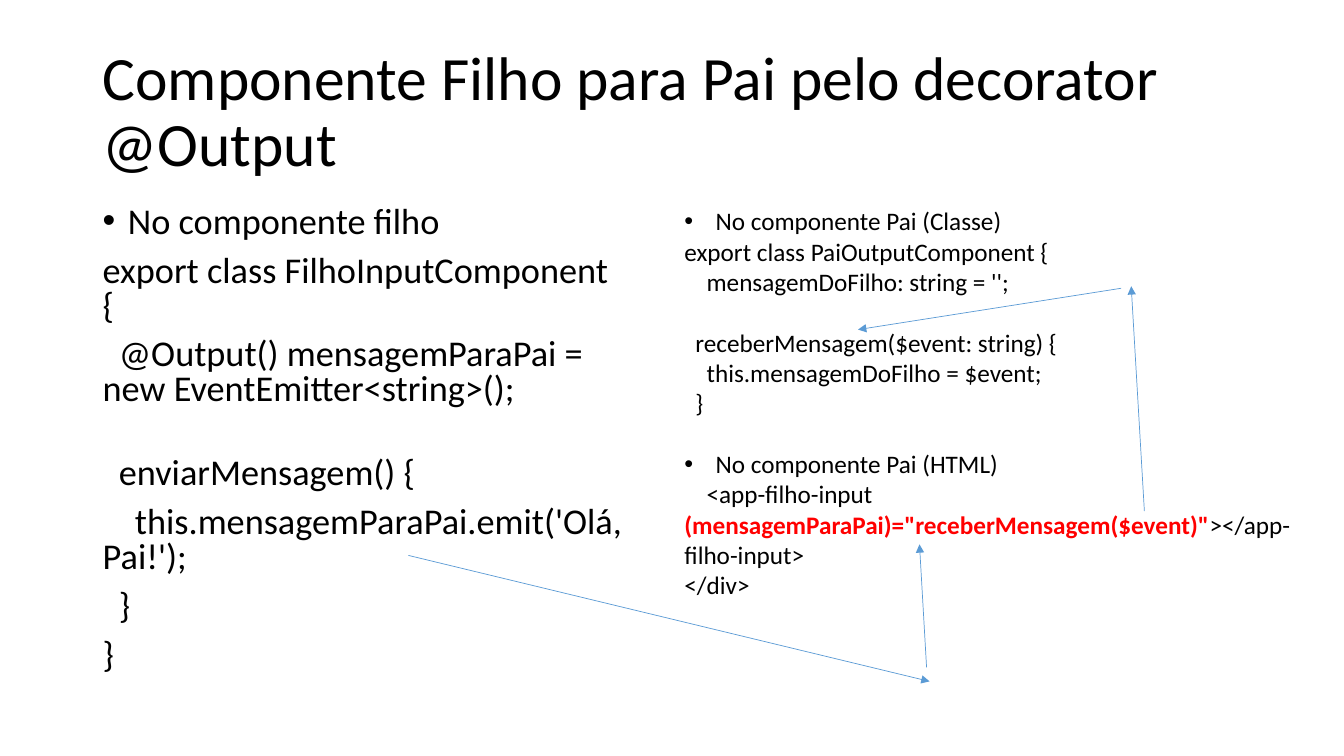
from dataclasses import dataclass

from lxml import etree
from pptx import Presentation
from pptx.dml.color import RGBColor
from pptx.enum.shapes import MSO_CONNECTOR
from pptx.enum.text import MSO_ANCHOR
from pptx.oxml.ns import qn
from pptx.util import Inches, Pt

STRAIGHT = MSO_CONNECTOR.STRAIGHT
TOP = MSO_ANCHOR.TOP
MIDDLE = MSO_ANCHOR.MIDDLE


@dataclass(frozen=True)
class Theme:
    font: str = "Calibri"
    ink: str = "000000"
    accent: str = "FF0000"
    line: str = "5B9BD5"
    title: float = 44
    child: float = 25.9
    parent: float = 18
    stroke: float = 0.5


def write(para, text, font, size, color, bold=False):
    run = para.add_run()
    run.text = text
    run.font.name = font
    run.font.size = Pt(size)
    run.font.bold = bold
    run.font.color.rgb = RGBColor.from_string(color)


class Deck:
    def __init__(self, theme):
        self.theme = theme
        self.show = Presentation()
        self.show.slide_width = Inches(13.33)
        self.show.slide_height = Inches(7.5)
        self.slide = self.show.slides.add_slide(self.show.slide_layouts[6])

    def text(self, box, lines, size, space=1.0, before=0, step=0, hang=0, anchor=TOP):
        frame = self.slide.shapes.add_textbox(*map(Inches, box)).text_frame
        frame.word_wrap = True
        frame.vertical_anchor = anchor
        for i, (level, gap, runs) in enumerate(lines):
            para = frame.paragraphs[0] if i == 0 else frame.add_paragraph()
            para.line_spacing = space
            para.space_before = Pt(before + gap * size * 1.22 * space)
            if level == "•":
                self.bullet(para, hang)
            else:
                para._p.get_or_add_pPr().set("indent", str(Inches(level * step)))
            for words, style in runs:
                look = {"color": self.theme.ink, **style}
                write(para, words, font=self.theme.font, size=size, **look)

    def bullet(self, para, hang):
        props = para._p.get_or_add_pPr()
        props.set("marL", str(Inches(hang)))
        props.set("indent", str(-Inches(hang)))
        etree.SubElement(props, qn("a:buFont"), typeface="Arial")
        etree.SubElement(props, qn("a:buChar"), char="•")

    def arrow(self, start, end):
        link = self.slide.shapes.add_connector(STRAIGHT, *map(Inches, start + end))
        link.line.color.rgb = RGBColor.from_string(self.theme.line)
        link.line.width = Pt(self.theme.stroke)
        etree.SubElement(link.line._get_or_add_ln(), qn("a:tailEnd"), type="triangle")
        etree.SubElement(link._element.spPr, qn("a:effectLst"))


def line(text, level=0, gap=0):
    return level, gap, [(text, {})]


def main():
    theme = Theme()
    deck = Deck(theme)
    deck.text(
        (0.92, 0.4, 11.5, 1.45),
        [line("Componente Filho para Pai pelo decorator @Output")],
        theme.title, space=0.9, anchor=MIDDLE,
    )
    child = [
        line("No componente filho", "•"),
        line("export class FilhoInputComponent {"),
        line("@Output() mensagemParaPai = new EventEmitter<string>();", 1),
        line("enviarMensagem() {", 1, gap=1),
        line("this.mensagemParaPai.emit('Olá, Pai!');", 2),
        line("}", 1),
        line("}"),
    ]
    deck.text((0.92, 2, 5.39, 4.76), child, theme.child,
              space=0.8, before=10, step=0.16, hang=0.25)
    event = [
        ("<app-filho-input ", {}),
        ('(mensagemParaPai)="receberMensagem($event)"',
         {"color": theme.accent, "bold": True}),
        ("></app-filho-input>", {}),
    ]
    parent = [
        line("No componente Pai (Classe)", "•"),
        line("export class PaiOutputComponent {"),
        line("mensagemDoFilho: string = '';", 2),
        line("receberMensagem($event: string) {", 1, gap=1),
        line("this.mensagemDoFilho = $event;", 2),
        line("}", 1),
        line("No componente Pai (HTML)", "•", gap=1),
        (2, 0, event),
        line("</div>"),
    ]
    deck.text((6.69, 1.99, 6.33, 5.25), parent, theme.parent, step=0.11, hang=0.31)
    for start, end in [
        ((4.05, 5.51), (9.22, 6.76)),
        ((9.19, 6.62), (9.12, 5.4)),
        ((11.35, 5.07), (11.22, 2.84)),
        ((11.12, 2.86), (8.51, 3.27)),
    ]:
        deck.arrow(start, end)
    deck.show.save("out.pptx")


if __name__ == "__main__":
    main()
